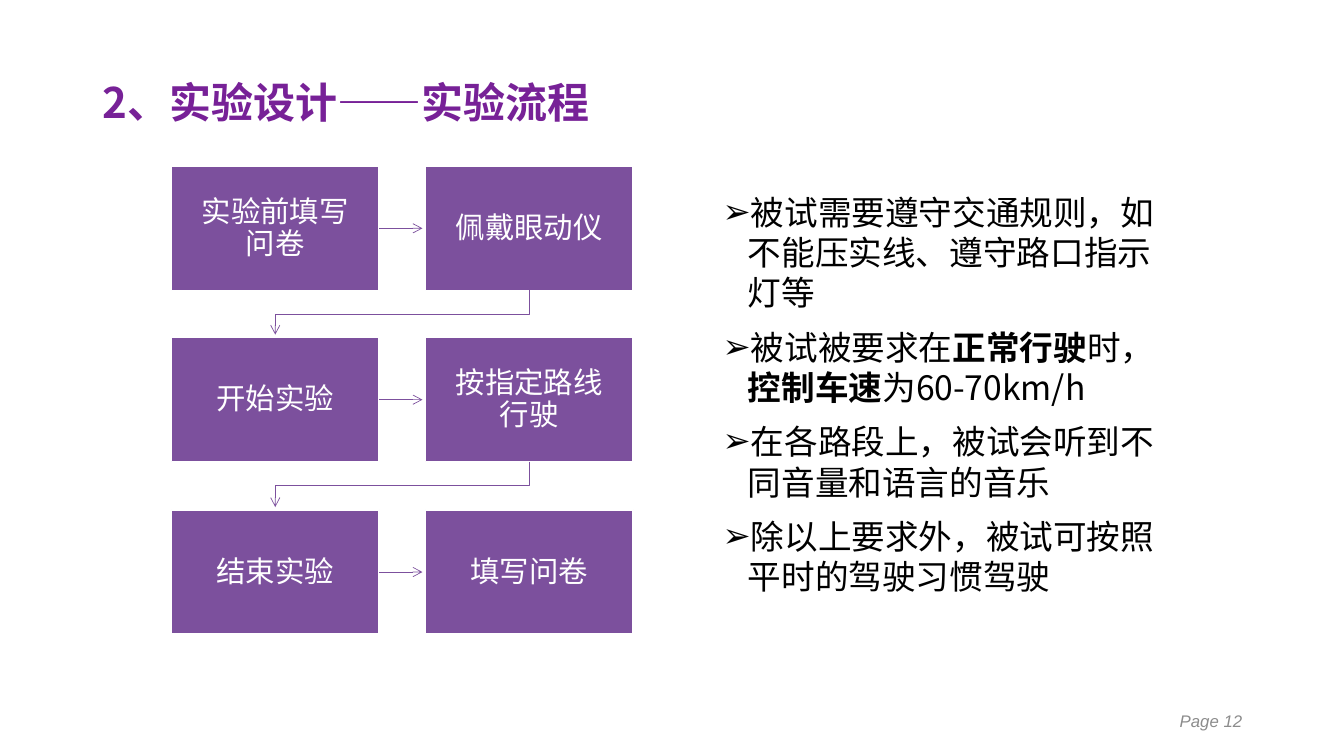
import dataclasses

import pptx
import pptx.dml.color
import pptx.enum.shapes
import pptx.enum.text
import pptx.oxml.ns
import pptx.util
from pptx.util import Inches

ALIGN = pptx.enum.text.PP_ALIGN
ANCHOR = pptx.enum.text.MSO_ANCHOR


@dataclasses.dataclass(frozen=True)
class Theme:
    purple: str = "7C509D"
    title: str = "772197"
    white: str = "FFFFFF"
    black: str = "000000"
    gray: str = "8C8C8C"
    cjk: str = "Noto Sans CJK SC"
    latin: str = "Arial"
    title_size: int = 30
    body_size: int = 24
    step_size: int = 21
    page_size: int = 12


THEME = Theme()
STEP_ROWS = (
    ("实验前填写问卷", "佩戴眼动仪"),
    ("开始实验", "按指定路线行驶"),
    ("结束实验", "填写问卷"),
)
ROW_TOPS = (1.65, 3.35, 5.06)
COLUMN_LEFTS = (1.7, 4.22)
STEP_W, STEP_H = 2.06, 1.23
ARROW_GAP = 0.03
RULES = (
    (("被试需要遵守交通规则，如不能压实线、遵守路口指示灯等", False),),
    (("被试被要求在", False), ("正常行驶", True), ("时，", False),
     ("控制车速", True), ("为60-70km/h", False)),
    (("在各路段上，被试会听到不同音量和语言的音乐", False),),
    (("除以上要求外，被试可按照平时的驾驶习惯驾驶", False),),
)


def rgb(value):
    return pptx.dml.color.RGBColor.from_string(value)


def add_xml(parent, tag, **attrs):
    el = parent.makeelement(pptx.oxml.ns.qn(tag), attrs)
    parent.append(el)
    return el


def add_run(p, text, size, color, latin, bold=False, italic=False):
    r = p.add_run()
    r.text = text
    r.font.size = pptx.util.Pt(size)
    r.font.name = latin
    r.font.bold = bold
    r.font.italic = italic
    r.font.color.rgb = rgb(color)
    add_xml(r.font._element, "a:ea", typeface=THEME.cjk)


def add_text_box(s, left, top, width, height, anchor):
    sp = s.shapes.add_textbox(Inches(left), Inches(top), Inches(width), Inches(height))
    tf = sp.text_frame
    tf.word_wrap = True
    tf.vertical_anchor = anchor
    return tf


def add_title(s, text):
    tf = add_text_box(s, 0.92, 0.72, 9.37, 0.64, ANCHOR.MIDDLE)
    p = tf.paragraphs[0]
    p.line_spacing = 0.9
    add_run(p, text, THEME.title_size, THEME.title, THEME.cjk, bold=True)


def add_rules(s, rules):
    tf = add_text_box(s, 7.07, 1.82, 4.7, 4.96, ANCHOR.TOP)
    tf.margin_top = Inches(0.08)
    for i, parts in enumerate(rules):
        p = tf.add_paragraph() if i else tf.paragraphs[0]
        pPr = p._p.get_or_add_pPr()
        pPr.set("marL", str(Inches(0.25)))
        pPr.set("indent", str(Inches(-0.25)))
        add_xml(pPr, "a:buFont", typeface=THEME.latin)
        add_xml(pPr, "a:buChar", char="➢")
        p.line_spacing = pptx.util.Pt(28.8)
        if i:
            p.space_before = pptx.util.Pt(10)
        for text, bold in parts:
            add_run(p, text, THEME.body_size, THEME.black, THEME.cjk, bold=bold)


def add_step(s, left, top, text):
    sp = s.shapes.add_shape(pptx.enum.shapes.MSO_SHAPE.RECTANGLE, Inches(left),
                            Inches(top), Inches(STEP_W), Inches(STEP_H))
    sp.shadow.inherit = False
    sp.fill.solid()
    sp.fill.fore_color.rgb = rgb(THEME.purple)
    sp.line.color.rgb = rgb(THEME.white)
    sp.line.width = pptx.util.Pt(1)
    tf = sp.text_frame
    tf.word_wrap = True
    tf.vertical_anchor = ANCHOR.MIDDLE
    tf.margin_left = tf.margin_right = tf.margin_top = tf.margin_bottom = Inches(0.16)
    p = tf.paragraphs[0]
    p.alignment = ALIGN.CENTER
    p.line_spacing = pptx.util.Pt(23)
    add_run(p, text, THEME.step_size, THEME.white, THEME.latin)
    return sp


def style_arrow(line):
    line.color.rgb = rgb(THEME.purple)
    line.width = pptx.util.Pt(0.5)
    add_xml(line._get_or_add_ln(), "a:tailEnd", type="arrow")


def add_row_arrow(s, step, next_step):
    y = step.top + step.height // 2
    cxn = s.shapes.add_connector(pptx.enum.shapes.MSO_CONNECTOR.STRAIGHT,
                                 step.left + step.width, y,
                                 next_step.left - Inches(ARROW_GAP), y)
    cxn.begin_connect(step, 3)
    style_arrow(cxn.line)
    add_xml(cxn._element.spPr, "a:effectLst")


def add_return_arrow(s, step, next_step):
    x1 = step.left + step.width // 2
    x2 = next_step.left + next_step.width // 2
    y1 = step.top + step.height
    y2 = next_step.top - Inches(ARROW_GAP)
    bend = (y1 + next_step.top) // 2
    builder = s.shapes.build_freeform(x1, y1)
    builder.add_line_segments([(x1, bend), (x2, bend), (x2, y2)], close=False)
    sp = builder.convert_to_shape()
    sp.shadow.inherit = False
    sp.fill.background()
    style_arrow(sp.line)


def add_flow(s):
    last = None
    for top, texts in zip(ROW_TOPS, STEP_ROWS):
        first, second = [add_step(s, left, top, text)
                         for left, text in zip(COLUMN_LEFTS, texts)]
        add_row_arrow(s, first, second)
        if last is not None:
            add_return_arrow(s, last, first)
        last = second


def add_page_number(s, text):
    tf = add_text_box(s, 9.42, 6.95, 3, 0.4, ANCHOR.MIDDLE)
    p = tf.paragraphs[0]
    p.alignment = ALIGN.RIGHT
    add_run(p, text, THEME.page_size, THEME.gray, THEME.latin, italic=True)


def main():
    prs = pptx.Presentation()
    prs.slide_width = Inches(13.33)
    prs.slide_height = Inches(7.5)
    s = prs.slides.add_slide(prs.slide_layouts[6])
    add_title(s, "2、实验设计——实验流程")
    add_rules(s, RULES)
    add_flow(s)
    add_page_number(s, "Page 12")
    prs.save("out.pptx")


if __name__ == "__main__":
    main()
